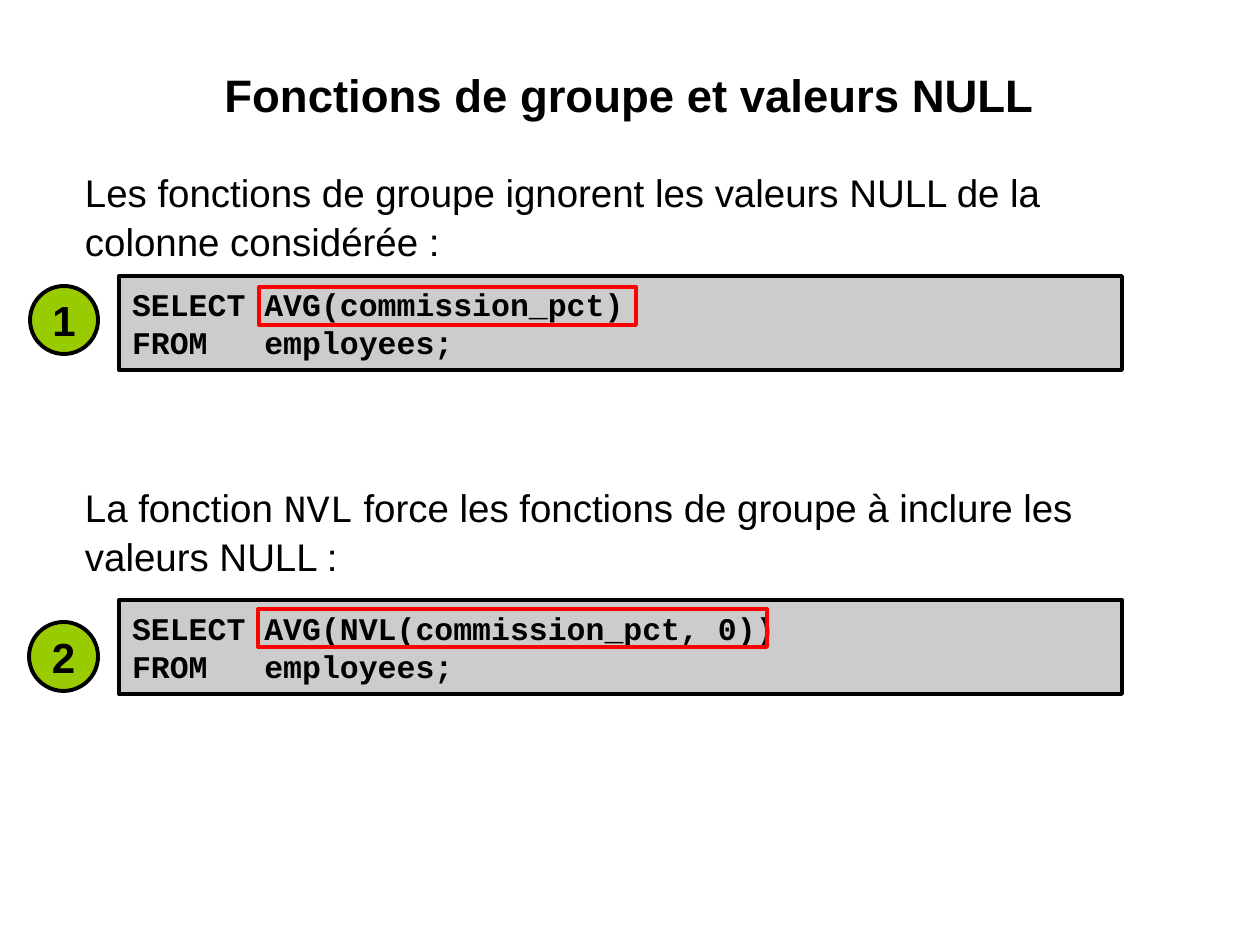
from pptx import Presentation
from pptx.dml.color import RGBColor as RGB
from pptx.enum.shapes import MSO_SHAPE as Shape
from pptx.enum.text import MSO_ANCHOR as Anchor, PP_ALIGN as Align
from pptx.util import Emu, Pt

PX = 914400 // 126
HUE = {"ink": "000000", "code": "CCCCCC", "mark": "FF0000", "ball": "99CC00"}
SANS, MONO = "Arial", "Courier New"

deck = Presentation()
deck.slide_width, deck.slide_height = Emu(1260 * PX), Emu(945 * PX)
page = deck.slides.add_slide(deck.slide_layouts[6])


def write(item, lines, size, bold, pad, wrap, align=Align.LEFT, space=None):
    """Fill a shape with lines, each a list of (text, font) runs."""
    frame = item.text_frame
    frame.word_wrap = wrap
    frame.margin_left = frame.margin_right = Emu(pad[0] * PX)
    frame.margin_top = frame.margin_bottom = Emu(pad[1] * PX)
    for i, line in enumerate(lines):
        para = frame.paragraphs[0] if i == 0 else frame.add_paragraph()
        para.alignment = align
        para.line_spacing = space
        for text, face in line:
            run = para.add_run()
            run.text = text
            font = run.font
            font.name, font.size, font.bold = face, Pt(size), bold
            font.color.rgb = RGB.from_string(HUE["ink"])


def draw(kind, box, fill, line):
    """Add a shape with a thick outline and middle anchor."""
    item = page.shapes.add_shape(kind, *[Emu(n * PX) for n in box])
    item.shadow.inherit = False
    if fill:
        item.fill.solid()
        item.fill.fore_color.rgb = RGB.from_string(HUE[fill])
    else:
        item.fill.background()
    item.line.color.rgb = RGB.from_string(HUE[line])
    item.line.width = Pt(2.25)
    item.text_frame.vertical_anchor = Anchor.MIDDLE
    return item


# Title and body text: top, height, runs, size, bold, alignment, line spacing
texts = [
    (66, 60, [("Fonctions de groupe et valeurs NULL", SANS)],
     26, True, Align.CENTER, None),
    (166, 94, [("Les fonctions de groupe ignorent les valeurs NULL de la "
                "colonne\u00a0considérée :", SANS)],
     22, False, Align.LEFT, 1.05),
    (481, 94, [("La fonction ", SANS), ("NVL", MONO),
               (" force les fonctions de groupe à inclure les valeurs NULL :",
                SANS)],
     22, False, Align.LEFT, 1.05),
]
for top, high, runs, size, bold, align, space in texts:
    box = page.shapes.add_textbox(*[Emu(n * PX) for n in (84, top, 1091, high)])
    write(box, [runs], size, bold, (1, 1), True, align, space)

# Queries: code top, call, red frame, numbered ball
steps = [
    (276, "AVG(commission_pct)", (259, 287, 377, 38), (30, 286, 68, 68)),
    (600, "AVG(NVL(commission_pct, 0))", (258, 609, 509, 38), (29, 622, 69, 69)),
]
for num, (top, call, mark, ball) in enumerate(steps, 1):
    code = draw(Shape.RECTANGLE, (119, top, 1003, 94), "code", "ink")
    lines = [[("SELECT " + call, MONO)], [("FROM   employees;", MONO)]]
    write(code, lines, 18, True, (13, 6), False)
    draw(Shape.RECTANGLE, mark, None, "mark")
    disc = draw(Shape.OVAL, ball, "ball", "ink")
    write(disc, [[(str(num), SANS)]], 24, True, (14, 8), False, Align.CENTER)

deck.save("out.pptx")
